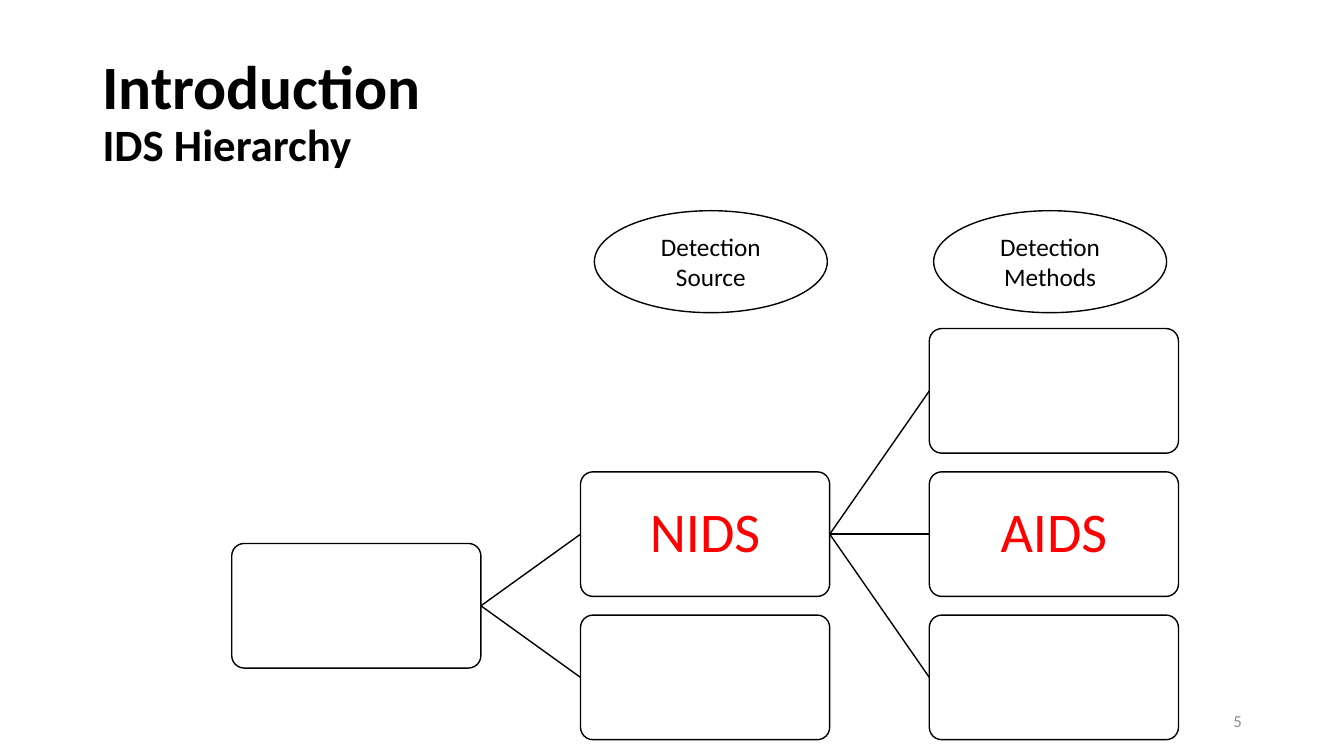
from dataclasses import dataclass

from lxml import etree
from pptx import Presentation
from pptx import util as u
from pptx.dml.color import RGBColor
from pptx.enum import shapes, text

COLOURS = {"paper": "FFFFFF", "ink": "000000", "accent": "FF0000", "muted": "8C8C8C"}
FONT = "Calibri"
NODE_LEFT, NODE_TOP = 5.84, 8.28
NODE_WIDTH, NODE_HEIGHT = 6.28, 3.14
COLUMN_STEP, ROW_STEP = 8.79, 3.61
RIGHT_SIDE, LEFT_SIDE = 3, 1


@dataclass(frozen=True)
class Node:
    """A box in the tree; column and row count in grid steps."""
    key: str
    column: int
    row: float
    label: str = ""
    parent: str = ""


@dataclass(frozen=True)
class Heading:
    left: float
    lines: tuple[str, ...]


NODES = (
    Node("root", 0, 1.5),
    Node("network", 1, 1, "NIDS", "root"),
    Node("other source", 1, 2, parent="root"),
    Node("first method", 2, 0, parent="network"),
    Node("anomaly", 2, 1, "AIDS", "network"),
    Node("third method", 2, 2, parent="network"),
)
HEADINGS = (
    Heading(14.98, ("Detection", "Source")),
    Heading(23.53, ("Detection", "Methods")),
)


def colour(name: str) -> RGBColor:
    return RGBColor.from_string(COLOURS[name])


def set_values(target, values: dict) -> None:
    for name, value in values.items():
        setattr(target, name, value)


def format_font(font, size: float, colour_name: str, bold: bool = False) -> None:
    set_values(font, {"name": FONT, "size": u.Pt(size), "bold": bold})
    font.color.rgb = colour(colour_name)


def place(left: float, top: float, width: float, height: float) -> tuple:
    return u.Cm(left), u.Cm(top), u.Cm(width), u.Cm(height)


def write_lines(shape, lines: tuple[str, ...], size: float, colour_name: str,
                alignment, spacing: float = 1.0) -> None:
    frame = shape.text_frame
    set_values(frame, {"word_wrap": True, "vertical_anchor": text.MSO_ANCHOR.MIDDLE})
    for index, line in enumerate(lines):
        para = frame.add_paragraph() if index else frame.paragraphs[0]
        set_values(para, {"alignment": alignment, "line_spacing": spacing})
        span = para.add_run()
        span.text = line
        format_font(span.font, size, colour_name)


def add_outlined(page, kind, bounds: tuple):
    shape = page.shapes.add_shape(kind, *bounds)
    shape.shadow.inherit = False
    shape.fill.solid()
    shape.fill.fore_color.rgb = colour("paper")
    shape.line.color.rgb = colour("ink")
    shape.line.width = u.Pt(1)
    return shape


def add_title(page) -> None:
    title = page.shapes.title
    bounds = place(2.33, 1.02, 29.21, 3.68)
    set_values(title, dict(zip(("left", "top", "width", "height"), bounds)))
    frame = title.text_frame
    set_values(frame, {"word_wrap": True, "auto_size": text.MSO_AUTO_SIZE.NONE,
                       "vertical_anchor": text.MSO_ANCHOR.MIDDLE})
    para = frame.paragraphs[0]
    set_values(para, {"alignment": text.PP_ALIGN.LEFT, "line_spacing": 0.9})
    for index, (words, size) in enumerate((("Introduction", 44), ("IDS Hierarchy", 32))):
        if index:
            para.add_line_break()
        span = para.add_run()
        span.text = words
        format_font(span.font, size, "ink", bold=True)


def add_node(page, node: Node):
    box = add_outlined(page, shapes.MSO_SHAPE.ROUNDED_RECTANGLE, place(
        NODE_LEFT + node.column * COLUMN_STEP, NODE_TOP + node.row * ROW_STEP,
        NODE_WIDTH, NODE_HEIGHT))
    box.adjustments[0] = 0.1
    if node.label:
        write_lines(box, (node.label,), 40, "accent", text.PP_ALIGN.CENTER, 0.9)
    return box


def add_branch(page, parent, child) -> None:
    branch = page.shapes.add_connector(shapes.MSO_CONNECTOR.STRAIGHT, 0, 0, 0, 0)
    branch.begin_connect(parent, RIGHT_SIDE)
    branch.end_connect(child, LEFT_SIDE)
    branch.line.color.rgb = colour("ink")
    branch.line.width = u.Pt(1)
    properties = branch._element.spPr
    etree.SubElement(properties, f"{{{properties.nsmap['a']}}}effectLst")


def main() -> None:
    deck = Presentation()
    set_values(deck, {"slide_width": u.Cm(33.87), "slide_height": u.Cm(19.05)})
    page = deck.slides.add_slide(deck.slide_layouts[5])
    add_title(page)

    boxes = {}
    for node in NODES:
        boxes[node.key] = add_node(page, node)
        if node.parent:
            add_branch(page, boxes[node.parent], boxes[node.key])

    for heading in HEADINGS:
        oval = add_outlined(page, shapes.MSO_SHAPE.OVAL, place(heading.left, 5.31, 5.87, 2.57))
        write_lines(oval, heading.lines, 18, "ink", text.PP_ALIGN.CENTER)

    number = page.shapes.add_textbox(*place(23.93, 17.65, 7.62, 1.02))
    write_lines(number, ("5",), 12, "muted", text.PP_ALIGN.RIGHT)
    deck.save("out.pptx")


if __name__ == "__main__":
    main()
